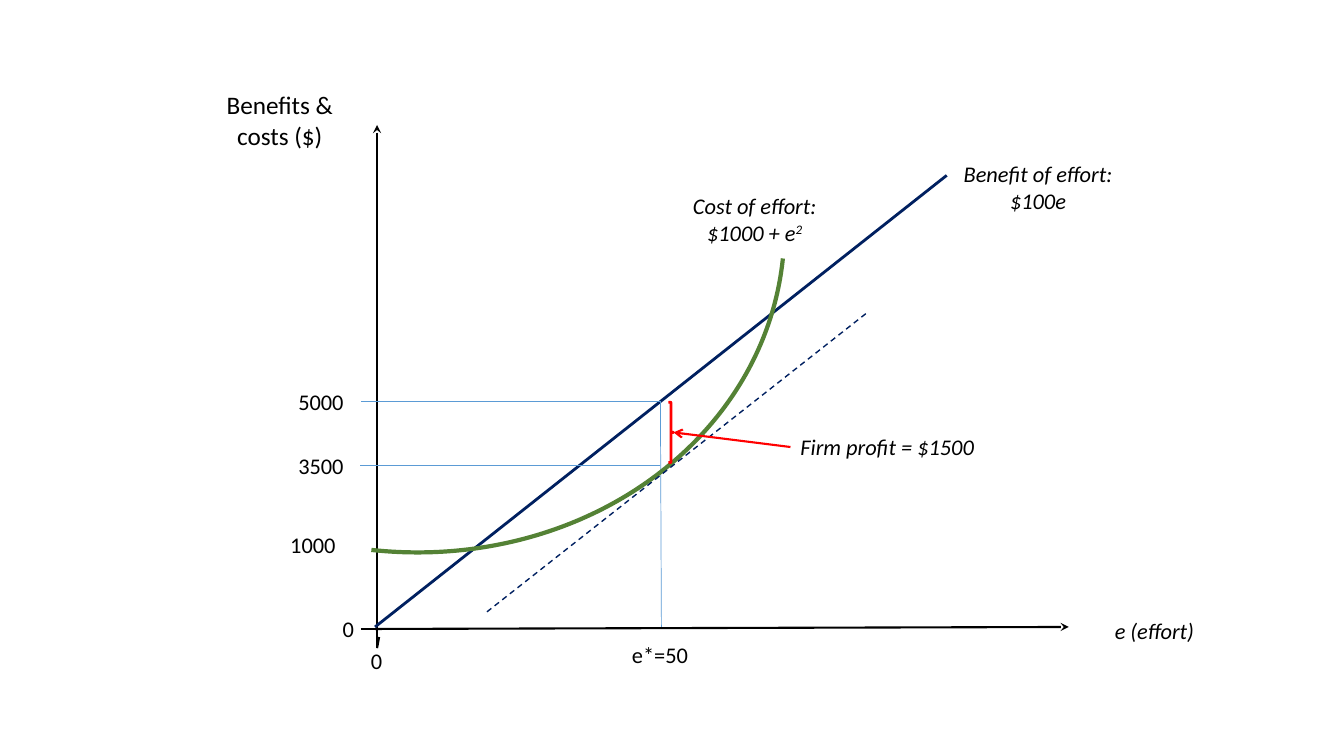
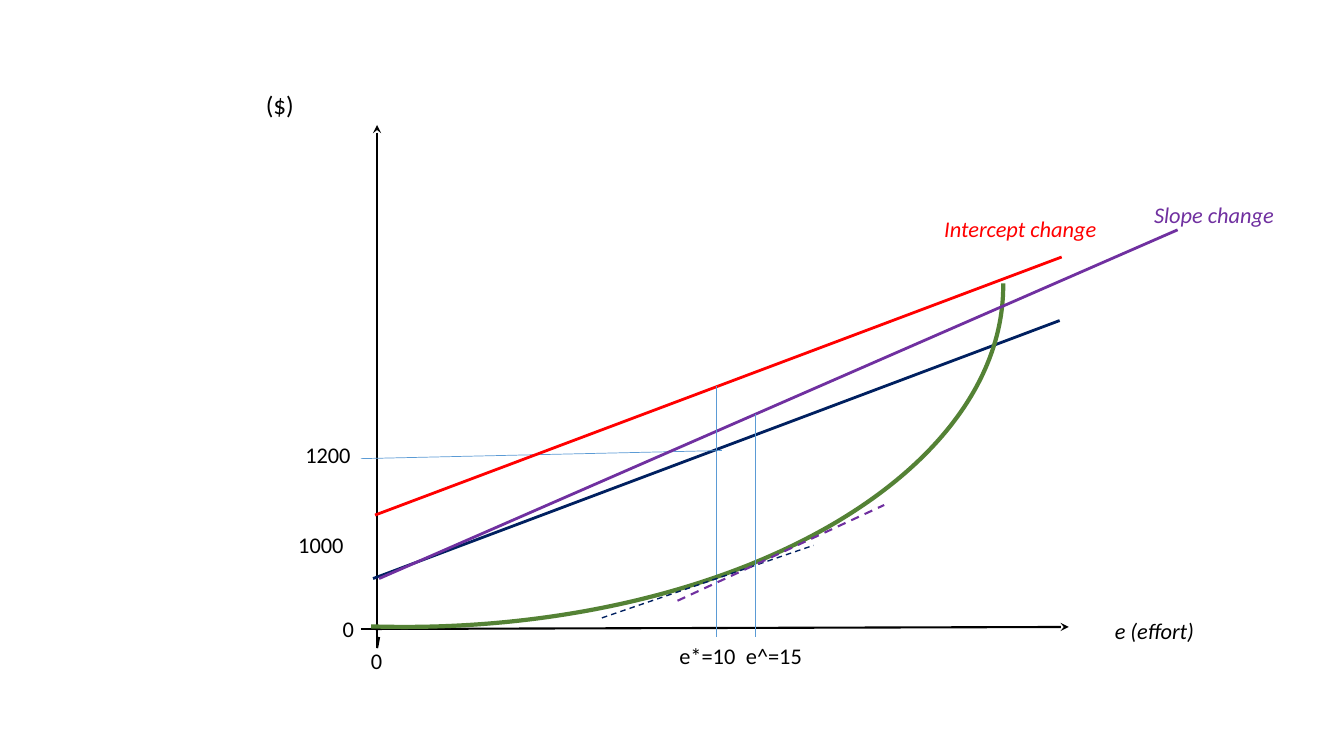
from lxml import etree
from pptx import Presentation
from pptx import util as u
from pptx.dml.color import RGBColor
from pptx.enum import dml, shapes, text
from pptx.oxml.ns import qn

PX = 9144  # 100 px to the inch
COLORS = {
    "ink": "000000",
    "benefit": "002060",
    "cost": "548235",
    "guide": "5B9BD5",
    "accent": "FF0000",
    "slope": "7030A0",
}
LINE_H, TWO_LINES_H = 37, 64

AXIS = {"color": "ink", "width": 1.5}
BENEFIT = {"color": "benefit", "width": 2}
TANGENT = {"color": "benefit", "width": 1, "dashed": True}
GUIDE = {"color": "guide", "width": 0.5}
COST = {"color": "cost", "width": 3}
CENTERED = {"align": text.PP_ALIGN.CENTER}
NOTE = {"italic": True, **CENTERED}


def px(*lengths):
    return [u.Emu(length * PX) for length in lengths]


def rgb(name):
    return RGBColor.from_string(COLORS[name])


def style_line(line, color, width, dashed=False):
    line.color.rgb = rgb(color)
    line.width = u.Pt(width)
    if dashed:
        line.dash_style = dml.MSO_LINE.DASH


def segment(slide, start, end, color, width, dashed=False, head=None, tail=None):
    """Draw a straight line; head and tail name arrowheads at start and end."""
    line = slide.shapes.add_connector(
        shapes.MSO_CONNECTOR.STRAIGHT, *px(*start, *end))
    style_line(line.line, color, width, dashed)
    properties = line._element.spPr
    outline = properties.find(qn("a:ln"))
    for tag, arrow in (("a:headEnd", head), ("a:tailEnd", tail)):
        if arrow:
            etree.SubElement(outline, qn(tag), type=arrow)
    etree.SubElement(properties, qn("a:effectLst"))
    return line


def outline_shape(slide, preset, box, look, rotation=0, adjustments=()):
    shape = slide.shapes.add_shape(preset, *px(*box))
    shape.shadow.inherit = False
    shape.fill.background()
    shape.rotation = rotation
    for index, value in enumerate(adjustments):
        shape.adjustments[index] = value
    style_line(shape.line, **look)
    return shape


def label(slide, words, box, size=16, color="ink", italic=False,
          align=text.PP_ALIGN.LEFT, superscript=None):
    textbox = slide.shapes.add_textbox(*px(*box))
    frame = textbox.text_frame
    frame.word_wrap = True
    frame.auto_size = text.MSO_AUTO_SIZE.SHAPE_TO_FIT_TEXT
    paragraph = frame.paragraphs[0]
    paragraph.alignment = align
    font_values = {"name": "Calibri", "size": u.Pt(size), "italic": italic}
    for part in filter(None, (words, superscript)):
        run = paragraph.add_run()
        run.text = part
        for attribute, value in font_values.items():
            setattr(run.font, attribute, value)
        run.font.color.rgb = rgb(color)
        if part == superscript:
            run._r.get_or_add_rPr().set("baseline", "30000")
    return textbox


def value_labels(slide, entries):
    for words, left, top, width in entries:
        label(slide, words, (left, top, width, LINE_H))


def draw_axes(slide, y_title, y_title_height):
    """Draw what both diagrams share: axes, origin ticks and axis titles."""
    segment(slide, (374, 124), (374, 642), head="stealth", **AXIS)
    segment(slide, (1060, 622), (372, 624), head="stealth", **AXIS)
    segment(slide, (374, 643), (376, 632), **AXIS)
    segment(slide, (358, 624), (376, 624), **AXIS)
    label(slide, y_title, (197, 84, 161, y_title_height), size=18, **CENTERED)
    label(slide, "e (effort)", (1060, 607, 170, LINE_H), **NOTE)
    value_labels(slide, [("0", 358, 637, 43), ("0", 330, 605, 28)])


def draw_firm_profit(slide):
    draw_axes(slide, "Benefits & costs ($)", 71)
    label(slide, "Benefit of effort: $100e", (944, 154, 171, TWO_LINES_H), **NOTE)
    segment(slide, (372, 622), (939, 174), **BENEFIT)
    segment(slide, (655, 398), (656, 622), **GUIDE)
    value_labels(slide, [
        ("1000", 278, 522, 81),
        ("3500", 286, 444, 81),
        ("5000", 286, 380, 81),
        ("e*=50", 617, 631, 77),
    ])
    outline_shape(slide, shapes.MSO_SHAPE.ARC, (74, -157, 660, 749), COST,
                  rotation=96.2, adjustments=(161.86, 0))
    segment(slide, (483, 607), (859, 311), **TANGENT)
    segment(slide, (656, 398), (358, 398), **GUIDE)
    segment(slide, (655, 462), (357, 462), **GUIDE)
    label(slide, "Cost of effort: $1000 + e", (663, 186, 171, TWO_LINES_H),
          superscript="2", **NOTE)
    outline_shape(slide, shapes.MSO_SHAPE.RIGHT_BRACE, (663, 399, 5, 60),
                  {"color": "accent", "width": 2})
    profit = label(slide, "Firm profit = $1500", (784, 425, 229, LINE_H),
                   italic=True)
    pointer = segment(slide, (784, 443), (668, 429), "accent", 1.5, tail="arrow")
    pointer.begin_connect(profit, 1)


def draw_pay_changes(slide):
    draw_axes(slide, "($)", 40)
    label(slide, "Intercept change", (907, 209, 210, LINE_H), color="accent", **NOTE)
    segment(slide, (370, 574), (1051, 318), **BENEFIT)
    segment(slide, (711, 447), (711, 632), **GUIDE)
    value_labels(slide, [
        ("1000", 286, 522, 74),
        ("1200", 293, 433, 74),
        ("e*=10", 664, 632, 77),
        ("e^=15", 730, 632, 77),
    ])
    outline_shape(slide, shapes.MSO_SHAPE.ARC, (63, -310, 677, 1187), COST,
                  rotation=90, adjustments=(161.86, 3.4))
    segment(slide, (597, 613), (807, 541), **TANGENT)
    segment(slide, (358, 455), (716, 447), **GUIDE)
    segment(slide, (372, 511), (1053, 255), "accent", 2)
    segment(slide, (376, 574), (1168, 228), "slope", 2)
    label(slide, "Slope change", (1099, 195, 210, LINE_H), color="slope", **NOTE)
    segment(slide, (749, 411), (749, 632), **GUIDE)
    segment(slide, (672, 596), (877, 501), "slope", 1.5, dashed=True)
    segment(slide, (711, 383), (711, 446), **GUIDE)


def main():
    deck = Presentation()
    deck.slide_width, deck.slide_height = px(1333, 750)
    blank = deck.slide_layouts[6]
    for draw in (draw_firm_profit, draw_pay_changes):
        draw(deck.slides.add_slide(blank))
    deck.save("out.pptx")


if __name__ == "__main__":
    main()
